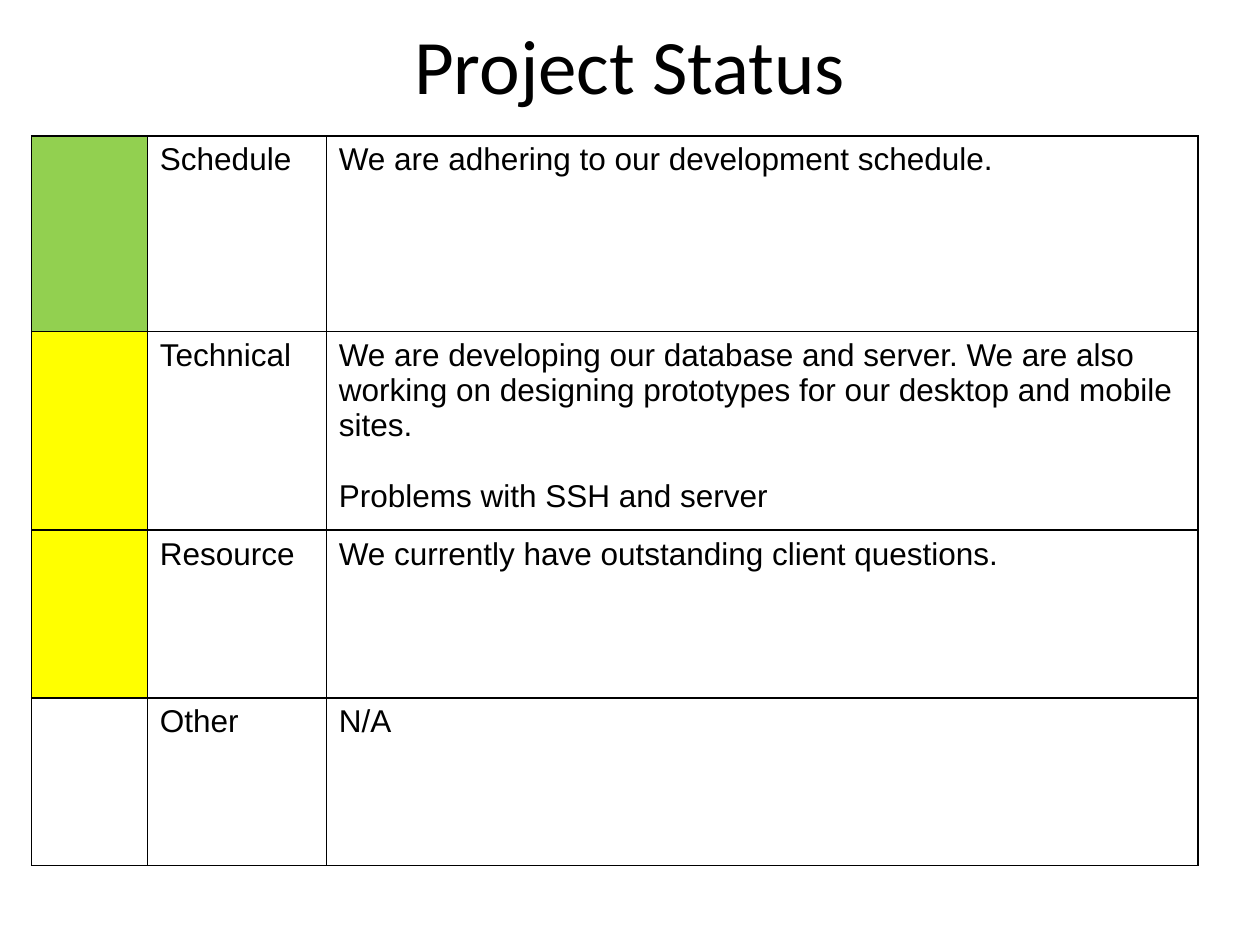
from lxml.etree import SubElement
from pptx import Presentation
from pptx.dml.color import RGBColor
from pptx.enum.text import MSO_ANCHOR as Anchor, PP_ALIGN as Align
from pptx.oxml.ns import qn
from pptx.util import Inches, Pt

BLACK = RGBColor(0x00, 0x00, 0x00)
WHITE = RGBColor(0xFF, 0xFF, 0xFF)
GREEN = RGBColor(0x92, 0xD0, 0x50)
YELLOW = RGBColor(0xFF, 0xFF, 0x00)

TITLE_FONT = {"name": "Calibri", "size": Pt(44)}
CELL_FONT = {"name": "Arial", "size": Pt(18)}
COLUMN_WIDTHS = (0.92, 1.42, 6.92)
ROW_HEIGHTS = (1.55, 1.33, 1.33, 1.33)
STATUS_ROWS = (
    (GREEN, "Schedule", ["We are adhering to our development schedule."]),
    (YELLOW, "Technical", [
        "We are developing our database and server. We are also working on "
        "designing prototypes for our desktop and mobile sites.",
        "Problems with SSH and server",
    ]),
    (YELLOW, "Resource", ["We currently have outstanding client questions."]),
    (WHITE, "Other", ["N/A"]),
)


def write_paragraph(paragraph, text, font_format):
    """Put one formatted black run into a paragraph."""
    run = paragraph.add_run()
    run.text = text
    for name, value in font_format.items():
        setattr(run.font, name, value)
    run.font.color.rgb = BLACK


def add_title(slide, text):
    """Add the centred slide title."""
    box = slide.shapes.add_textbox(Inches(0.5), Inches(0.08), Inches(9), Inches(0.86))
    frame = box.text_frame
    for name, value in {"word_wrap": True, "vertical_anchor": Anchor.MIDDLE}.items():
        setattr(frame, name, value)
    paragraph = frame.paragraphs[0]
    paragraph.alignment = Align.CENTER
    write_paragraph(paragraph, text, TITLE_FONT)


def set_borders(cell):
    """Draw a thin black line on every side of a cell."""
    properties = cell._tc.get_or_add_tcPr()
    for position, side in enumerate(("lnL", "lnR", "lnT", "lnB")):
        line = SubElement(properties, qn(f"a:{side}"), w=str(Pt(1)))
        fill = SubElement(line, qn("a:solidFill"))
        SubElement(fill, qn("a:srgbClr"), val=str(BLACK))
        properties.insert(position, line)


def fill_cell(cell, color, texts=()):
    """Give a cell its fill, borders and paragraphs one line apart."""
    cell.fill.solid()
    cell.fill.fore_color.rgb = color
    set_borders(cell)
    frame = cell.text_frame
    for index, text in enumerate(texts):
        paragraph = frame.add_paragraph() if index else frame.paragraphs[0]
        if index:
            paragraph.space_before = Pt(20)
        write_paragraph(paragraph, text, CELL_FONT)


def add_status_table(slide):
    """Add the table of status colour, area and comment."""
    frame = slide.shapes.add_table(
        len(ROW_HEIGHTS), len(COLUMN_WIDTHS), Inches(0.25), Inches(1.08),
        Inches(sum(COLUMN_WIDTHS)), Inches(sum(ROW_HEIGHTS)))
    table = frame.table
    for name, value in {"first_row": False, "horz_banding": False}.items():
        setattr(table, name, value)
    for column, width in zip(table.columns, COLUMN_WIDTHS):
        column.width = Inches(width)
    for row, height, (color, area, comments) in zip(table.rows, ROW_HEIGHTS, STATUS_ROWS):
        row.height = Inches(height)
        status_cell, area_cell, comment_cell = row.cells
        fill_cell(status_cell, color)
        fill_cell(area_cell, WHITE, [area])
        fill_cell(comment_cell, WHITE, comments)


def main():
    """Build and save the project status slide."""
    presentation = Presentation()
    presentation.slide_width = Inches(10)
    presentation.slide_height = Inches(7.5)
    slide = presentation.slides.add_slide(presentation.slide_layouts[6])
    add_title(slide, "Project Status")
    add_status_table(slide)
    presentation.save("out.pptx")


if __name__ == "__main__":
    main()
